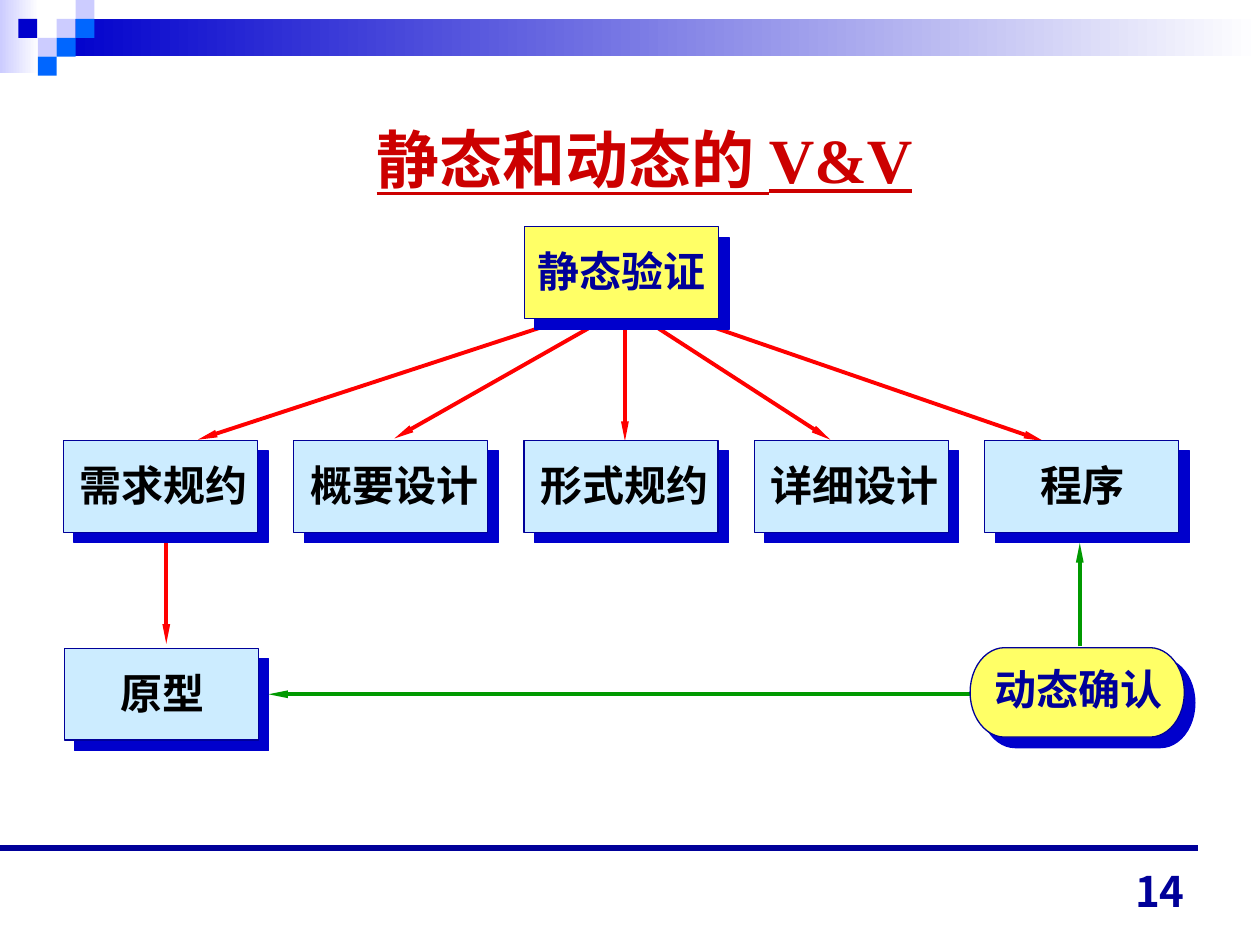
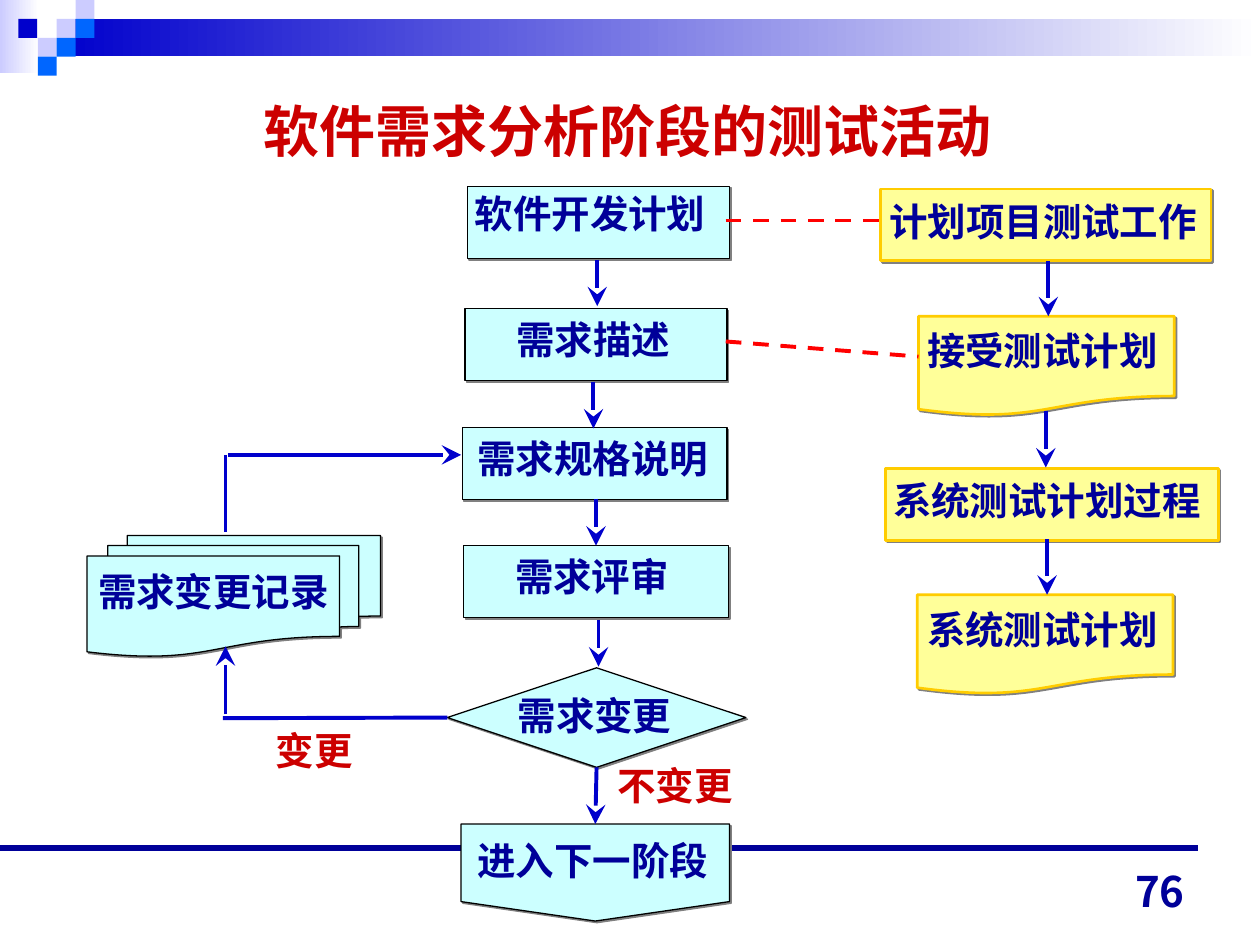
from lxml import etree
from pptx import Presentation
from pptx.dml.color import RGBColor
from pptx.enum.dml import MSO_LINE
from pptx.enum.lang import MSO_LANGUAGE_ID
from pptx.enum.shapes import MSO_CONNECTOR, MSO_SHAPE
from pptx.enum.text import MSO_ANCHOR, PP_ALIGN
from pptx.oxml.ns import qn
from pptx.util import Inches, Pt

# Colours
NAVY = RGBColor(0x00, 0x00, 0x99)
BLUE = RGBColor(0x00, 0x00, 0xCC)
BRIGHT = RGBColor(0x00, 0x66, 0xFF)
LILAC = RGBColor(0xCC, 0xCC, 0xFF)
SKY = RGBColor(0xCC, 0xEC, 0xFF)
CYAN = RGBColor(0xCC, 0xFF, 0xFF)
YELLOW = RGBColor(0xFF, 0xFF, 0x66)
CREAM = RGBColor(0xFF, 0xFF, 0x99)
GOLD = RGBColor(0xFF, 0xCC, 0x00)
RED = RGBColor(0xFF, 0x00, 0x00)
CRIMSON = RGBColor(0xCC, 0x00, 0x00)
GREEN = RGBColor(0x00, 0x99, 0x00)
GREY = RGBColor(0x80, 0x80, 0x80)
BLACK = RGBColor(0, 0, 0)
WHITE = RGBColor(0xFF, 0xFF, 0xFF)

# Enum members
RECT, DIAMOND = MSO_SHAPE.RECTANGLE, MSO_SHAPE.DIAMOND
DOCUMENT, RECORDS = MSO_SHAPE.FLOWCHART_DOCUMENT, MSO_SHAPE.FLOWCHART_MULTIDOCUMENT
TERMINATOR, OFFPAGE = MSO_SHAPE.FLOWCHART_TERMINATOR, MSO_SHAPE.FLOWCHART_OFFPAGE_CONNECTOR
STRAIGHT, DASH = MSO_CONNECTOR.STRAIGHT, MSO_LINE.DASH
LEFT, CENTER, RIGHT = PP_ALIGN.LEFT, PP_ALIGN.CENTER, PP_ALIGN.RIGHT
TOP, MIDDLE, BOTTOM = MSO_ANCHOR.TOP, MSO_ANCHOR.MIDDLE, MSO_ANCHOR.BOTTOM
CHINESE = MSO_LANGUAGE_ID.SIMPLIFIED_CHINESE

SERIF, SANS = "Times New Roman", "Noto Sans CJK JP"

# The slide is a grid of 100 columns and 75 rows
prs = Presentation()
prs.slide_width, prs.slide_height = Inches(10), Inches(7.5)
CELL = prs.slide_width // 100


def box(s, kind, at, text="", fill=None, line=None, shadow=None, align=LEFT,
        anchor=TOP, wrap=True, **fonts):
    """Add a preset shape, or a text box when kind is None; at is in cells."""
    x, y, w, h = (round(v * CELL) for v in at)
    if kind is None:
        sp = s.shapes.add_textbox(x, y, w, h)
    else:
        sp = s.shapes.add_shape(kind, x, y, w, h)
        sp.shadow.inherit = False
        if fill:
            sp.fill.solid()
            sp.fill.fore_color.rgb = fill
        if line:
            sp.line.color.rgb, sp.line.width = line[0], Pt(line[1])
        else:
            sp.line.fill.background()
    if shadow:
        color, distance = shadow
        effects = sp._element.spPr.find(qn("a:effectLst"))
        outer = etree.SubElement(effects, qn("a:outerShdw"), blurRad="0",
                                 dist=str(Pt(distance)), dir="2700000",
                                 algn="ctr", rotWithShape="0")
        etree.SubElement(outer, qn("a:srgbClr"), val=str(color))
    if text:
        tf = sp.text_frame
        tf.word_wrap, tf.vertical_anchor = wrap, anchor
        p = tf.paragraphs[0]
        p.alignment = align
        r = p.add_run()
        r.text = text
        format_values = {"name": SERIF, "bold": True, "language_id": CHINESE} | fonts
        color = format_values.pop("color", NAVY)
        for key, value in format_values.items():
            setattr(r.font, key, value)
        r.font.color.rgb = color
        etree.SubElement(r.font._element, qn("a:ea"), typeface=SANS)
    return sp


def link(s, start, end, color, width=2.25, head=None, dash=None):
    """Draw a straight line; an end is a point in cells or a (shape, side) pair."""
    joined = [hasattr(e[0], "shape_id") for e in (start, end)]
    points = [(0, 0) if j else e for j, e in zip(joined, (start, end))]
    cn = s.shapes.add_connector(STRAIGHT, *(round(v * CELL) for pt in points for v in pt))
    if joined[0]:
        cn.begin_connect(*start)
    if joined[1]:
        cn.end_connect(*end)
    cn.line.color.rgb, cn.line.width = color, Pt(width)
    if dash:
        cn.line.dash_style = dash
    if head:
        kind, head_width = head
        etree.SubElement(cn.line._get_or_add_ln(), qn("a:tailEnd"),
                         type=kind, w=head_width, len="lg")
    etree.SubElement(cn._element.spPr, qn("a:effectLst"))


# Shared parts: gradient bands, squares, footer rule, title and number
BANDS = [((0, 0, 3.1, 5.8), LILAC), ((4.5, 1.5, 95.5, 2.95), BLUE)]
SQUARES = [(4.5, 1.5, LILAC), (6, 0, LILAC), (6, 1.5, BRIGHT), (3, 3, LILAC),
           (1.45, 1.5, BLUE), (4.5, 3, BRIGHT), (3, 4.5, BRIGHT)]
TITLES = [("静态和动态的 V&V", 6.15, 6.8, 36, True, "14"),
          ("软件需求分析阶段的测试活动", 4.85, 4.5, 32, False, "76")]

for title, x, y, size, underline, number in TITLES:
    s = prs.slides.add_slide(prs.slide_layouts[6])
    for at, color in BANDS:
        sp = box(s, RECT, at)
        sp.fill.gradient()
        sp.fill.gradient_angle = 180
        for stop, rgb, position in zip(sp.fill.gradient_stops, (WHITE, color), (0, 1)):
            stop.color.rgb, stop.position = rgb, position
    for left, top, color in SQUARES:
        box(s, RECT, (left, top, 1.5, 1.5), fill=color)
    link(s, (0, 67.3), (95.1, 67.3), NAVY, 3.25)
    box(s, None, (x, y, 90, 11.6), title, align=CENTER, anchor=MIDDLE,
        size=Pt(size), color=CRIMSON, underline=underline)
    box(s, None, (71.7, 68.2, 23.3, 5), number, align=RIGHT, anchor=BOTTOM,
        size=Pt(24), name=SANS)

verification, activities = prs.slides

# Slide 1: arrows first, so that the boxes and their shadows cover the ends
s = verification
NARROW = ("triangle", "sm")
ARROWS = [((49.6, 25.7), (49.6, 35), RED), ((46.8, 26), (31.3, 34.8), RED),
          ((43.5, 25.8), (15.7, 34.9), RED), ((52, 25.9), (65.9, 34.9), RED),
          ((56.7, 26), (82.8, 35), RED), ((13.2, 43.1), (13.2, 51.1), RED),
          ((77, 55.1), (21.3, 55.1), GREEN), ((85.7, 51.3), (85.7, 43.1), GREEN)]
for start, end, color in ARROWS:
    link(s, start, end, color, head=NARROW)

# Slide 1: verified artefacts in five columns, then prototype and the two methods;
# the last two numbers place the label
COLUMN, BOX_W, BOX_H = 18.28, 15.4, 7.3
artefacts = ["需求规约", "概要设计", "形式规约", "详细设计"]
nodes = [(RECT, (5.03 + i * COLUMN, 34.95, BOX_W, BOX_H), name, SKY, BLACK,
          5.35 + i * COLUMN, 36) for i, name in enumerate(artefacts)]
nodes += [(RECT, (5.03 + 4 * COLUMN, 34.95, BOX_W, BOX_H), "程序", SKY, BLACK, 81.6, 36),
          (RECT, (5.1, 51.45, BOX_W, BOX_H), "原型", SKY, BLACK, 8.6, 52.5),
          (RECT, (41.63, 18, BOX_W, BOX_H), "静态验证", YELLOW, NAVY, 41.7, 19),
          (TERMINATOR, (77, 51.4, 17, 7.1), "动态确认", YELLOW, NAVY, 77.95, 52.2)]
for kind, at, name, fill, color, x, y in nodes:
    box(s, kind, at, fill=fill, line=(NAVY, 0.75), shadow=(BLUE, 8.5))
    box(s, None, (x, y, 2 + 3.33 * len(name), 5), name, wrap=False,
        size=Pt(24), color=color)

# Slide 2: development steps, test steps and the change record;
# the last three numbers place the label
s = activities
DEVELOPMENT = [
    (RECT, (37.1, 14.8, 20.8, 5.7), "软件开发计划", 36.7, 14.6, 21),
    (RECT, (36.9, 24.5, 20.8, 5.7), "需求描述", 40, 24.6, 16.7),
    (RECT, (36.7, 33.95, 21, 5.7), "需求规格说明", 36.9, 34, 21.9),
    (RECT, (36.8, 43.3, 21, 5.7), "需求评审", 39.9, 43.4, 16.2),
    (DIAMOND, (35.5, 53, 23.7, 7.9), "需求变更", 40.1, 54.4, 16.2),
    (OFFPAGE, (36.6, 65.4, 21.3, 7.7), "进入下一阶段", 36.9, 65.9, 21.5)]
TESTING = [
    (RECT, (69.9, 15, 26.2, 5.7), "计划项目测试工作", 69.6, 15.2, 27.2),
    (DOCUMENT, (72.9, 25.1, 20.3, 7.9), "接受测试计划", 72.6, 25.5, 22.8),
    (RECT, (70.3, 37.2, 26.4, 5.7), "系统测试计划过程", 69.9, 37.4, 27.2),
    (DOCUMENT, (72.8, 47.2, 20.3, 7.9), "系统测试计划", 72.6, 47.6, 22.6)]
RECORD = [(RECORDS, (6.9, 42.5, 23.3, 9.6), "需求变更记录", 6.8, 44.6, 21.5)]

LABEL_H = 5.4
steps = {}
for group, fill, line in [(DEVELOPMENT, CYAN, (BLACK, 0.75)),
                          (TESTING, CREAM, (GOLD, 1.5)),
                          (RECORD, CYAN, (BLACK, 0.75))]:
    for kind, at, name, x, y, w in group:
        steps[name] = box(s, kind, at, fill=fill, line=line, shadow=(GREY, 1.4))
        box(s, None, (x, y, w, LABEL_H), name, size=Pt(22))

# Slide 2: arrows down the two columns and round the change loop
change, next_phase = steps["需求变更"], steps["进入下一阶段"]
OPEN = ("stealth", "lg")
FLOWS = [((47.4, 20.6), (47.4, 24.3)), ((47.1, 30.3), (47.1, 34)),
         ((47.3, 39.6), (47.3, 43.3)), ((47.5, 49.2), (47.5, 52.9)),
         ((change, 2), (next_phase, 0)),
         ((83.2, 20.7), (83.2, 25.1)), ((83, 32.6), (83, 37.1)),
         ((83.1, 42.8), (83.1, 47.2)),
         ((17.9, 56.7), (17.9, 51.3)), ((18.1, 36.1), (36.6, 36.1))]
for start, end in FLOWS:
    link(s, start, end, BLUE, head=OPEN)
link(s, (change, 1), (17.7, 57), BLUE)
link(s, (17.9, 42.2), (17.9, 36.1), BLUE)

# Slide 2: branch labels and dashed links to testing
for x, y, w, label in [(20.9, 57.2, 11, "变更"), (48, 60, 13.9, "不变更")]:
    box(s, None, (x, y, w, LABEL_H), label, size=Pt(22), color=CRIMSON)
for start, end in [((57.6, 17.5), (69.9, 17.5)), ((57.6, 27.1), (72.9, 28.3))]:
    link(s, start, end, RED, dash=DASH)

prs.save("out.pptx")
